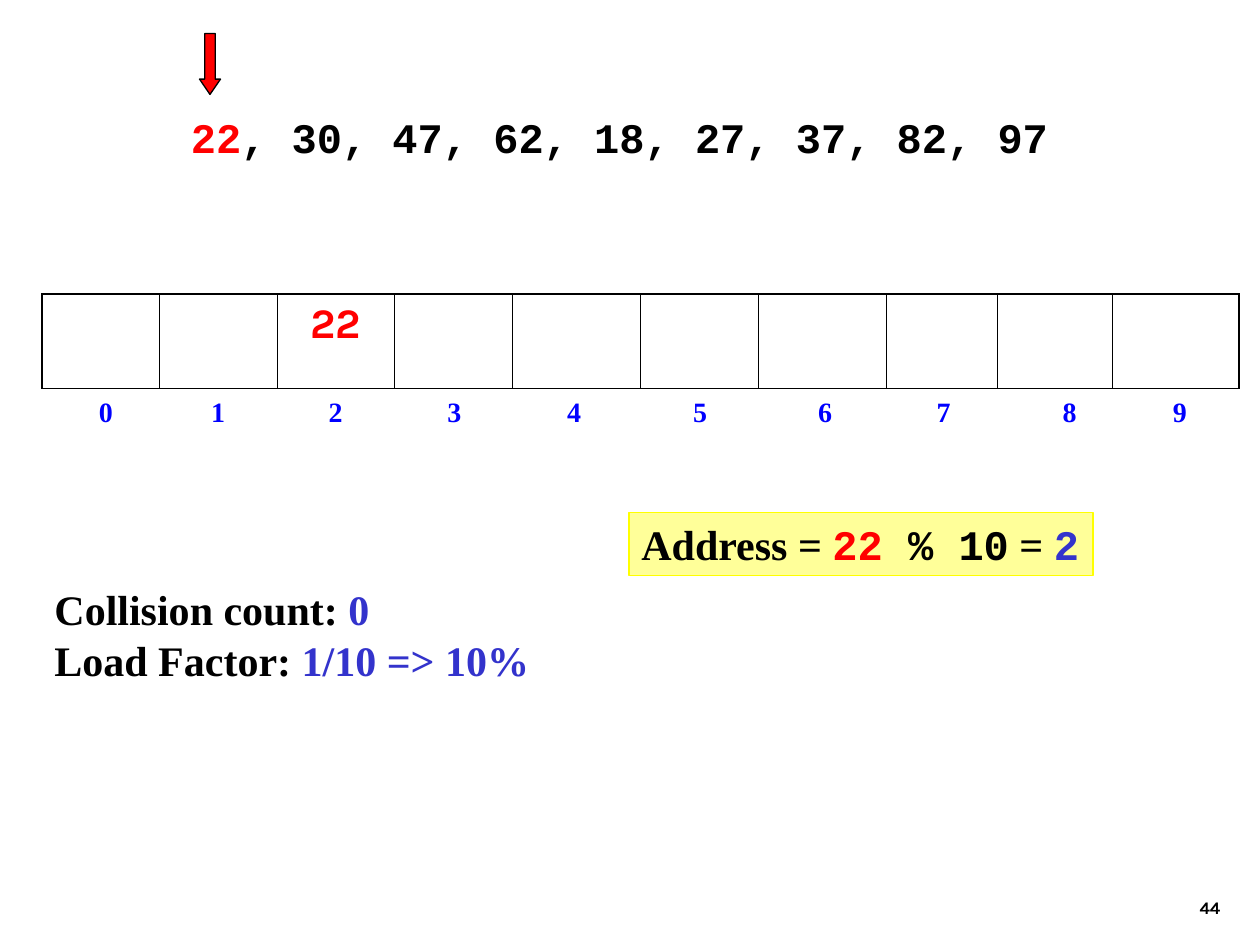
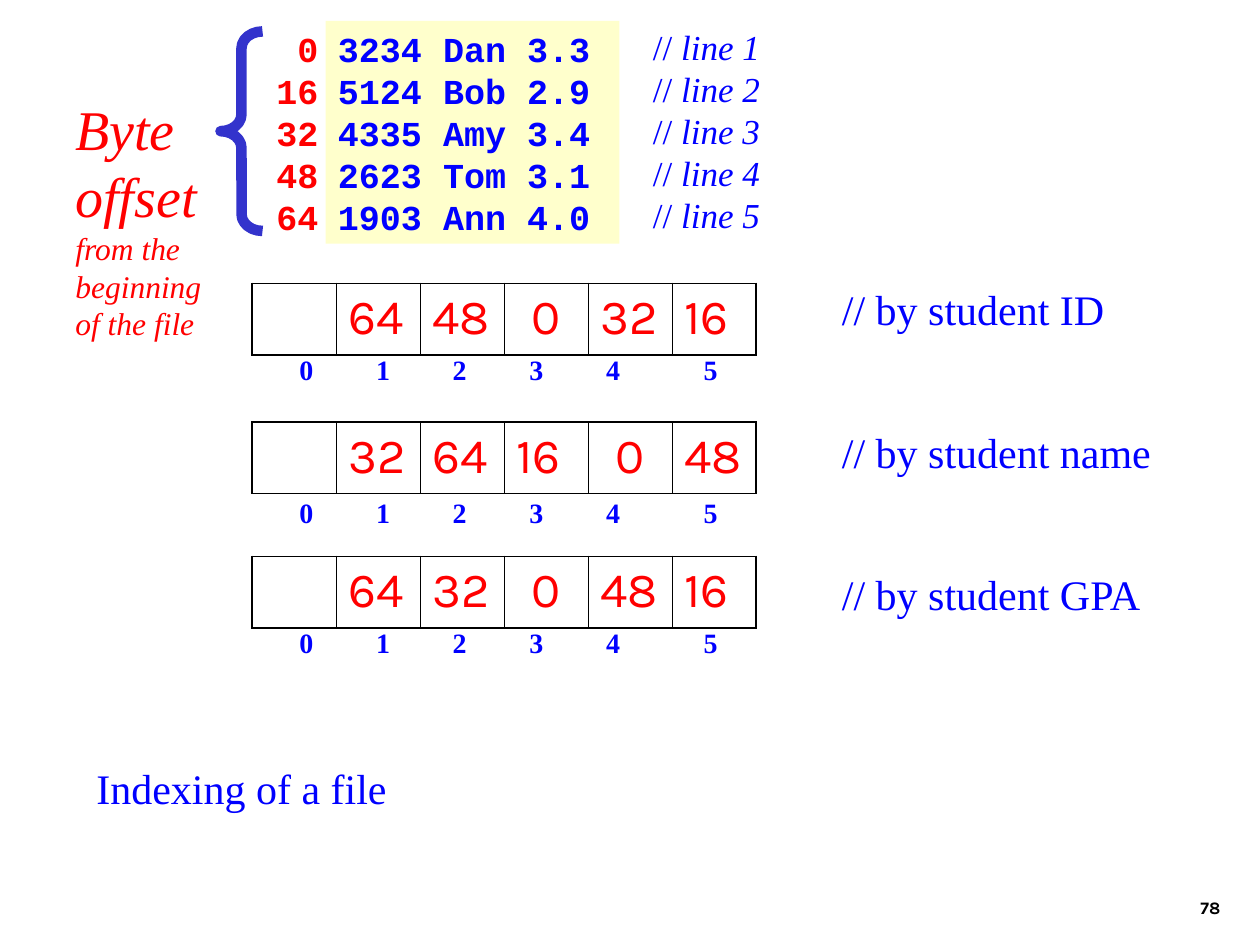
from dataclasses import dataclass
from itertools import accumulate

from lxml.etree import SubElement
from pptx import Presentation
from pptx.dml.color import RGBColor
from pptx.enum.shapes import MSO_SHAPE as Shape
from pptx.enum.text import MSO_ANCHOR as Anchor, PP_ALIGN as Align
from pptx.oxml import parse_xml
from pptx.oxml.ns import nsdecls, qn
from pptx.util import Inches, Pt

COLUMNS, ROWS = 120, 90
UNIT = Inches(10) / COLUMNS


@dataclass(frozen=True)
class Theme:
    black: str = "000000"
    red: str = "FF0000"
    blue: str = "0000FF"
    indigo: str = "3333CC"
    address_fill: str = "FFFF99"
    address_line: str = "FFFF00"
    record_fill: str = "FFFFCC"
    serif: str = "Times New Roman"
    mono: str = "Courier New"
    sans: str = "Karla"
    page_size: int = 10
    index_size: int = 16
    note_size: int = 18
    record_size: int = 20
    body_size: int = 24
    offset_size: int = 28
    heading_size: int = 32
    thin: float = 0.75
    brace: float = 6
    outer_border: float = 1.08
    inner_border: float = 0.45


THEME = Theme()


@dataclass(frozen=True)
class Box:
    left: float
    top: float
    width: float
    height: float

    def area(self, x, y, width, height):
        return Box(self.left + x, self.top + y, width, height)

    def emu(self):
        return [grid(n) for n in (self.left, self.top, self.width, self.height)]


@dataclass(frozen=True)
class Style:
    font: str = THEME.serif
    size: int = THEME.body_size
    color: str = THEME.blue
    bold: bool = False
    italic: bool = False


PAGE = Box(0, 0, COLUMNS, ROWS)
BOLD_BODY = Style(color=THEME.black, bold=True)
MONO_BODY = Style(THEME.mono, color=THEME.black, bold=True)
RECORD = Style(THEME.mono, THEME.record_size, bold=True)
OFFSET = Style(THEME.sans, THEME.offset_size, THEME.red)
HEADING = Style(size=THEME.heading_size, color=THEME.red, italic=True)
NOTE = Style(size=THEME.note_size, color=THEME.red, italic=True)


def grid(units):
    return round(units * UNIT)


def rgb(color):
    return RGBColor.from_string(color)


def set_font(font, style):
    font.name, font.size = style.font, Pt(style.size)
    font.bold, font.italic = style.bold, style.italic
    font.color.rgb = rgb(style.color)


def fill_paragraph(paragraph, content, style, align=Align.LEFT):
    paragraph.alignment = align
    set_font(paragraph.font, style)
    for piece in [content] if isinstance(content, str) else content:
        text, changes = (piece, {}) if isinstance(piece, str) else piece
        run = paragraph.add_run()
        run.text = text
        if "color" in changes:
            run.font.color.rgb = rgb(changes["color"])
        if "font" in changes:
            run.font.name = changes["font"]
        if "italic" in changes:
            run.font.italic = changes["italic"]


def fill_frame(frame, lines, styles, align=Align.LEFT, wrap=True, anchor=Anchor.TOP):
    frame.word_wrap, frame.vertical_anchor = wrap, anchor
    if isinstance(styles, Style):
        styles = [styles] * len(lines)
    for number, (line, style) in enumerate(zip(lines, styles)):
        paragraph = frame.add_paragraph() if number else frame.paragraphs[0]
        fill_paragraph(paragraph, line, style, align)


def add_text(slide, box, lines, styles, **options):
    fill_frame(slide.shapes.add_textbox(*box.emu()).text_frame, lines, styles, **options)


def add_shape(slide, kind, box, fill=None, line=None, width=THEME.thin):
    shape = slide.shapes.add_shape(kind, *box.emu())
    shape.shadow.inherit = False
    if fill:
        shape.fill.solid()
        shape.fill.fore_color.rgb = rgb(fill)
    else:
        shape.fill.background()
    if line:
        shape.line.color.rgb = rgb(line)
        shape.line.width = Pt(width)
    else:
        shape.line.fill.background()
    return shape


def border_cell(cell, first, last):
    cell.fill.background()
    properties = cell._tc.get_or_add_tcPr()
    outer, inner = THEME.outer_border, THEME.inner_border
    widths = {"lnL": outer if first else inner, "lnR": outer if last else inner,
              "lnT": outer, "lnB": outer}
    for position, (side, width) in enumerate(widths.items()):
        properties.insert(position, parse_xml(
            f'<a:{side} {nsdecls("a")} w="{Pt(width)}"><a:solidFill>'
            f'<a:srgbClr val="{THEME.black}"/></a:solidFill></a:{side}>'))


def draw_slots(slide, box, values, widths, style):
    table = slide.shapes.add_table(1, len(widths), *box.emu()).table
    table.first_row = table.horz_banding = False
    table.rows[0].height = grid(box.height)
    for number, (value, width) in enumerate(zip(values, widths)):
        table.columns[number].width = grid(width)
        cell = table.cell(0, number)
        border_cell(cell, number == 0, number == len(widths) - 1)
        if value:
            align = Align.CENTER if style.bold or len(value) == 1 else Align.LEFT
            fill_paragraph(cell.text_frame.paragraphs[0], value, style, align)


def draw_slot_numbers(slide, box, stops):
    frame = slide.shapes.add_textbox(*box.emu()).text_frame
    frame.word_wrap = True
    paragraph = frame.paragraphs[0]
    tabs = SubElement(paragraph._p.get_or_add_pPr(), qn("a:tabLst"))
    for stop in stops:
        SubElement(tabs, qn("a:tab"), pos=str(grid(stop)), algn="ctr")
    numbers = "".join(f"\t{number}" for number in range(len(stops)))
    fill_paragraph(paragraph, numbers, Style(size=THEME.index_size, bold=True))


def draw_page_number(slide, box, number):
    add_text(slide, box.area(92.4, 82, 25, 6), [number],
             Style(THEME.sans, THEME.page_size, THEME.black, bold=True),
             align=Align.RIGHT, anchor=Anchor.BOTTOM)


def draw_keys(slide, box):
    arrow = add_shape(slide, Shape.DOWN_ARROW, box.area(2, 0, 2, 5.8), THEME.red, THEME.black)
    arrow.adjustments[0], arrow.adjustments[1] = 0.5, 0.73
    keys = [("22", {"color": THEME.red}), ", 30, 47, 62, 18, 27, 37, 82, 97"]
    add_text(slide, box.area(0, 6.8, box.width, 6), [keys], MONO_BODY, wrap=False)


def draw_hash_table(slide, box):
    widths = [11.2] * 4 + [12.2, 11.2, 12.2, 10.6, 11, 12]
    stops = [5.9, 16.6, 27.8, 39.1, 50.5, 62.5, 74.4, 85.7, 97.7, 108.2]
    values = ["22" if number == 2 else "" for number in range(len(widths))]
    draw_slot_numbers(slide, box.area(-1, 9, 115, 7.7), stops)
    draw_slots(slide, box.area(0, 0, sum(widths), 9), values, widths,
               Style(THEME.sans, THEME.body_size, THEME.red, bold=True))


def draw_address(slide, box):
    shape = add_shape(slide, Shape.RECTANGLE, box, THEME.address_fill, THEME.address_line)
    mono = {"font": THEME.mono}
    formula = ["Address = ", ("22", {**mono, "color": THEME.red}), (" % 10", mono),
               " = ", ("2", {**mono, "color": THEME.indigo})]
    fill_frame(shape.text_frame, [formula], BOLD_BODY, wrap=False)


def draw_statistics(slide, box):
    answers = {"Collision count: ": "0", "Load Factor: ": "1/10 => 10%"}
    lines = [[label, (answer, {"color": THEME.indigo})] for label, answer in answers.items()]
    add_text(slide, box, lines, BOLD_BODY, wrap=False)


def draw_records(slide, box):
    offsets = ["0", "16", "32", "48", "64"]
    records = ["3234 Dan 3.3", "5124 Bob 2.9", "4335 Amy 3.4", "2623 Tom 3.1", "1903 Ann 4.0"]
    comments = [["// ", (f"line {number}", {"italic": True})]
                for number in range(1, len(records) + 1)]
    panel = add_shape(slide, Shape.RECTANGLE, box.area(10, 0, 28, box.height), THEME.record_fill)
    fill_frame(panel.text_frame, records, RECORD)
    add_text(slide, box.area(4, 0, 6.5, box.height), offsets,
             Style(THEME.mono, THEME.record_size, THEME.red, bold=True), align=Align.RIGHT)
    add_text(slide, box.area(40, -0.2, 16, box.height), comments, Style(size=THEME.record_size))
    brace = add_shape(slide, Shape.LEFT_BRACE, box.area(0, 1, 4, 19),
                      line=THEME.indigo, width=THEME.brace)
    brace.adjustments[0], brace.adjustments[1] = 0.4, 0.5


def draw_offset_note(slide, box):
    lines = ["Byte", "offset", "from the", "beginning", "of the file"]
    add_text(slide, box, lines, [HEADING] * 2 + [NOTE] * 3)


def draw_index(slide, box, values, numbers_top, caption_top, caption):
    count = len(values)
    stops = list(accumulate([7.3] * (count - 2), initial=6)) + [44.5]
    draw_slot_numbers(slide, box.area(-2, numbers_top, 50, 4.4), stops)
    draw_slots(slide, box, values, [box.width / count] * count, OFFSET)
    add_text(slide, box.area(55, caption_top, 35, 6), [f"// by student {caption}"], Style())


def build_hashing_slide(slide, page):
    draw_keys(slide, page.area(17, 3.2, 84, 12.8))
    draw_hash_table(slide, page.area(4, 28, 114, 17))
    draw_address(slide, page.area(59.9, 48.8, 44.2, 6))
    draw_statistics(slide, page.area(4, 55, 47.6, 10.8))
    draw_page_number(slide, page, "44")


def build_indexing_slide(slide, page):
    draw_records(slide, page.area(21, 2, 56, 21.2))
    draw_offset_note(slide, page.area(6, 8.4, 16, 24.8))
    indexes = [
        (27, ["", "64", "48", "0", "32", "16"], 6, -0.6, "ID"),
        (40.2, ["", "32", "64", "16", "0", "48"], 6.4, -0.2, "name"),
        (53, ["", "64", "32", "0", "48", "16"], 6, 0.6, "GPA"),
    ]
    for top, *index in indexes:
        draw_index(slide, page.area(24, top, 48, 6.8), *index)
    add_text(slide, page.area(8, 72, 97, 6), ["Indexing of a file"], Style())
    draw_page_number(slide, page, "78")


def main():
    presentation = Presentation()
    presentation.slide_width, presentation.slide_height = grid(COLUMNS), grid(ROWS)
    for build in (build_hashing_slide, build_indexing_slide):
        build(presentation.slides.add_slide(presentation.slide_layouts[6]), PAGE)
    presentation.save("out.pptx")


if __name__ == "__main__":
    main()
